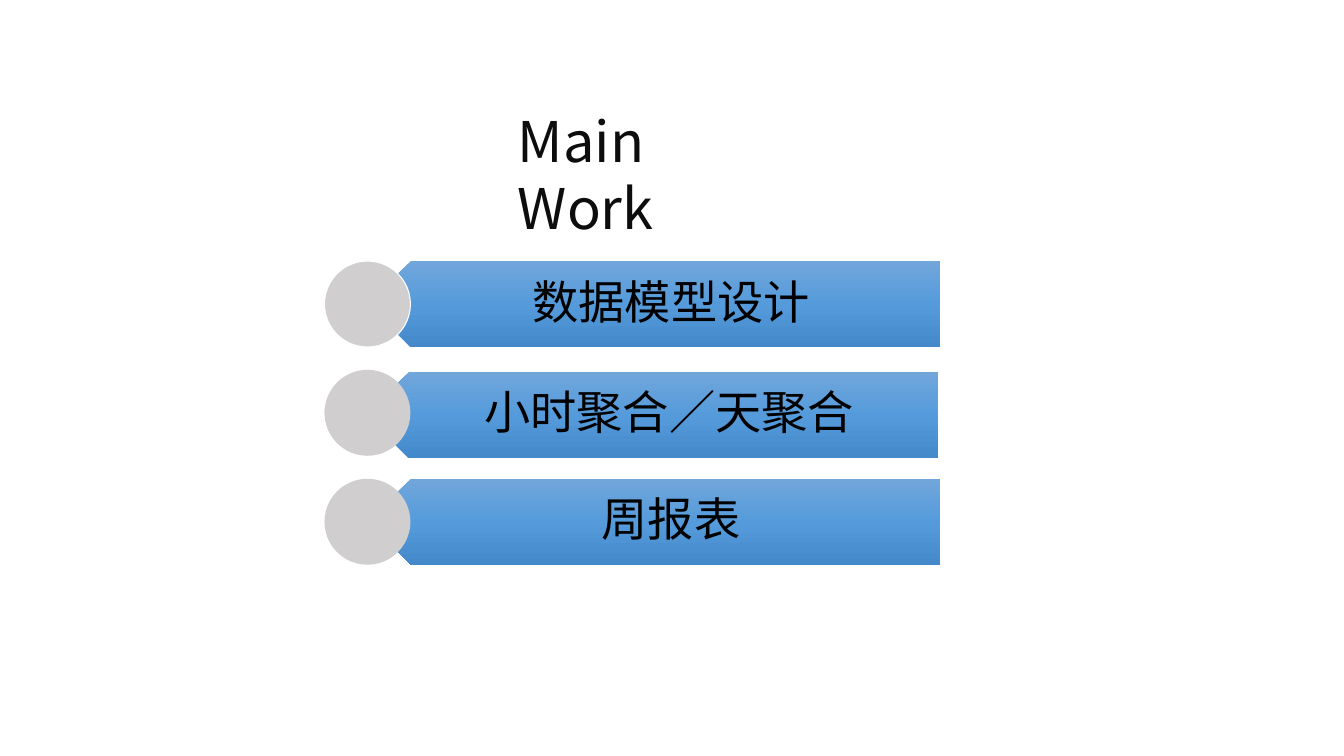
import pptx
import pptx.util
import pptx.dml.color
import pptx.enum.shapes
import pptx.enum.text
import pptx.oxml
import pptx.oxml.ns

Pt = pptx.util.Pt
RGB = pptx.dml.color.RGBColor
KIND = pptx.enum.shapes.MSO_SHAPE
ALIGN = pptx.enum.text.PP_ALIGN
ANCHOR = pptx.enum.text.MSO_ANCHOR

TITLE = "Main Work"
TASKS = [
    ("数据模型设计", 262.8, 186.5, 186.5),
    ("小时聚合／天聚合", 261.4, 265.7, 264.2),
    ("周报表", 262.8, 342, 342),
]
FONT = "Noto Sans CJK SC"
INK = RGB(0x0D, 0x0D, 0x0D)
BLACK = RGB(0, 0, 0)
GREY = RGB(0xD0, 0xCE, 0xCE)
WHITE = RGB(0xFF, 0xFF, 0xFF)
BLUES = [(0, RGB(0x71, 0xA6, 0xDB)), (50, RGB(0x55, 0x9B, 0xDB)),
         (100, RGB(0x44, 0x8A, 0xCA))]
BAR_W, BAR_H, DOT_X, SHIFT = 409, 61.4, 231.8, 15.3


def shade(shape):
    stops = "".join(
        f'<a:gs pos="{pos * 1000}"><a:srgbClr val="{tint}"/></a:gs>'
        for pos, tint in BLUES)
    grad = pptx.oxml.parse_xml(
        f'<a:gradFill {pptx.oxml.ns.nsdecls("a")} rotWithShape="0">'
        f'<a:gsLst>{stops}</a:gsLst><a:lin ang="5400000" scaled="0"/></a:gradFill>')
    shape.element.spPr.find(pptx.oxml.ns.qn("a:prstGeom")).addnext(grad)


def write(page, text, left, top, wide, high, size, tint):
    box = page.shapes.add_textbox(Pt(left), Pt(top), Pt(wide), Pt(high))
    frame = box.text_frame
    frame.word_wrap = True
    para = frame.paragraphs[0]
    para.text = text
    para.font.size = Pt(size)
    para.font.name = FONT
    para.font.color.rgb = tint
    face = pptx.oxml.parse_xml(
        f'<a:ea {pptx.oxml.ns.nsdecls("a")} typeface="{FONT}"/>')
    para.font._element.find(pptx.oxml.ns.qn("a:latin")).addnext(face)
    return frame


def add_bar(page, left, top):
    bar = page.shapes.add_shape(
        KIND.PENTAGON, Pt(left), Pt(top), Pt(BAR_W), Pt(BAR_H))
    bar.rotation = 180
    bar.shadow.inherit = False
    bar.line.fill.background()
    shade(bar)


def add_label(page, text, left, top):
    frame = write(page, text, left + SHIFT, top, BAR_W - SHIFT, BAR_H, 33, BLACK)
    frame.vertical_anchor = ANCHOR.MIDDLE
    frame.margin_left, frame.margin_right = Pt(27.4), Pt(18.7)
    frame.margin_top = frame.margin_bottom = Pt(10)
    frame.paragraphs[0].alignment = ALIGN.CENTER
    frame.paragraphs[0].line_spacing = 0.9


def add_dot(page, top, first):
    dot = page.shapes.add_shape(
        KIND.OVAL, Pt(DOT_X), Pt(top), Pt(BAR_H), Pt(BAR_H))
    dot.shadow.inherit = False
    dot.fill.solid()
    dot.fill.fore_color.rgb = GREY
    if first:
        dot.line.color.rgb = WHITE
        dot.line.width = Pt(0.75)
    else:
        dot.line.fill.background()


def main():
    deck = pptx.Presentation()
    deck.slide_width, deck.slide_height = Pt(960), Pt(540)
    page = deck.slides.add_slide(deck.slide_layouts[6])
    for rank, (text, left, top, dot_top) in enumerate(TASKS):
        add_bar(page, left, top)
        add_label(page, text, left, top)
        add_dot(page, dot_top, rank == 0)
    head = write(page, TITLE, 362.9, 72.7, 203.8, 55.4, 40, INK)
    head.auto_size = pptx.enum.text.MSO_AUTO_SIZE.SHAPE_TO_FIT_TEXT
    deck.save("out.pptx")


if __name__ == "__main__":
    main()
